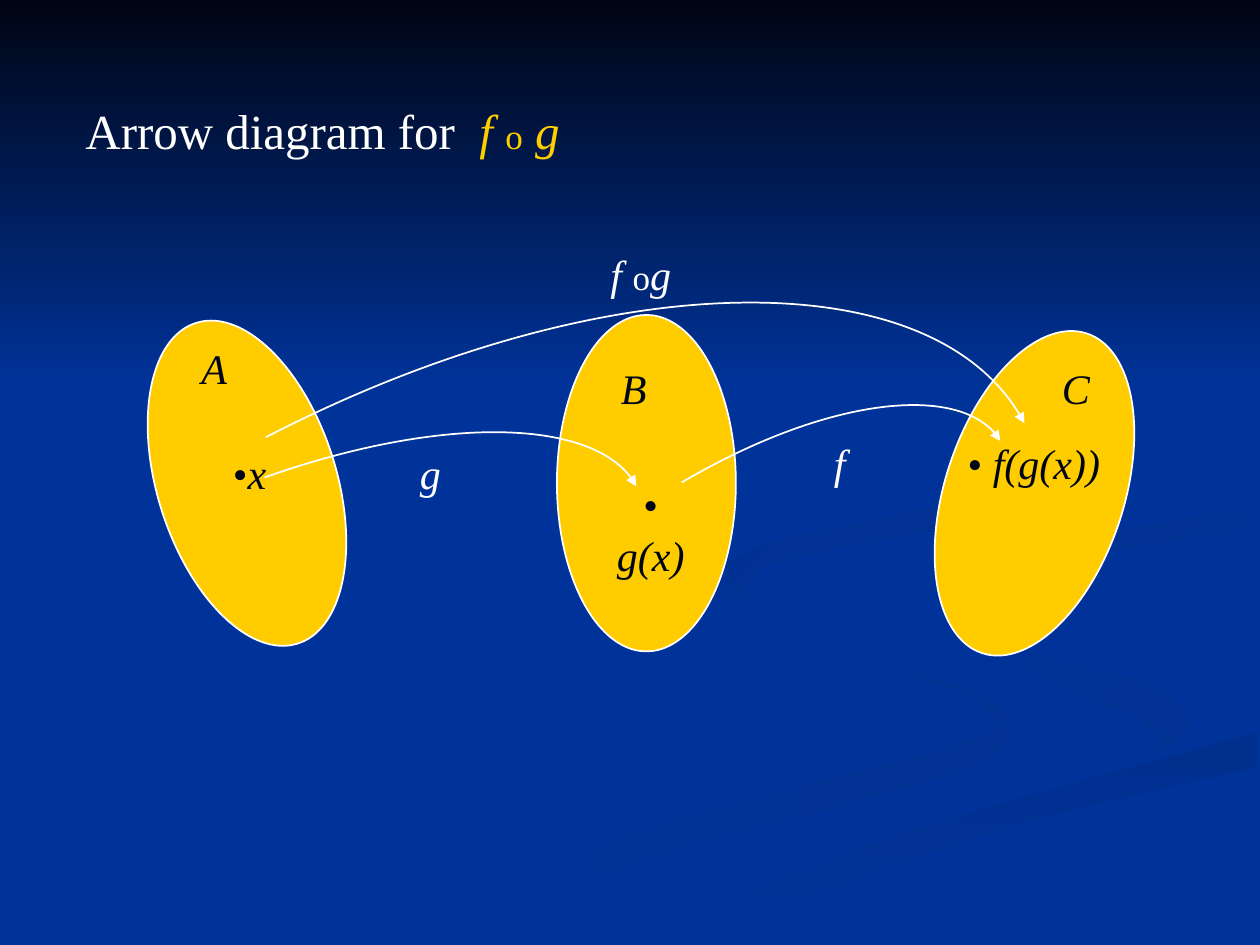
from dataclasses import dataclass

from lxml import etree
from pptx import Presentation
from pptx import util as u
from pptx.dml.color import RGBColor
from pptx.enum import shapes, text
from pptx.oxml.ns import qn


@dataclass(frozen=True)
class Theme:
    font: str = "Times New Roman"
    blue: str = "003399"
    shade: str = "002F8E"
    soft: str = "003193"
    dark: str = "000514"
    white: str = "FFFFFF"
    yellow: str = "FFCC00"
    gold: str = "FECE00"
    title: int = 28
    label: int = 24
    ring: int = 20
    line: int = 1


THEME = Theme()
SMOOTHNESS = 6

RIBBONS = [
    (THEME.blue, THEME.soft, 0, [
        [(5.75, 4.59), (5.76, 4.8), (6.97, 5.25), (7.86, 5.66), (7.49, 5.94),
         (4.99, 6.61), (3, 7.49)],
        [(3.61, 7.49), (4.99, 6.87), (7.56, 6.14), (8, 5.81), (7.81, 5.53),
         (6.82, 5.19), (5.94, 4.85), (5.75, 4.59)]]),
    (THEME.blue, THEME.soft, 45, [
        [(8.94, 6.05), (9.32, 5.89), (9.43, 5.7), (9.05, 5.4), (7.92, 5.09),
         (7.24, 4.64)],
        [(7.24, 4.64), (8.15, 5.3), (9.18, 5.81), (8.94, 6.05)]]),
    (THEME.shade, THEME.blue, 90, [
        [(5.03, 7.49), (6.3, 6.93), (7.64, 6.47), (9.98, 5.81)],
        [(9.98, 6.09), (8.21, 6.51), (6.7, 7.02), (5.71, 7.49)]]),
    (THEME.shade, THEME.blue, 45, [
        [(8.26, 4.96), (7.81, 4.6), (8.1, 4.37), (9.98, 4.02)],
        [(9.98, 4.2), (8.78, 4.39), (8.06, 4.72), (8.26, 4.96)]]),
    (THEME.shade, THEME.blue, 45, [
        [(7.62, 2.33), (8.46, 2.79), (8.89, 3.35), (8.52, 3.74), (7.33, 4.04),
         (6.05, 4.33), (5.77, 4.62), (6.22, 5)],
        [(6.22, 5), (5.93, 4.7), (6.24, 4.44), (7.86, 4.12), (8.67, 3.84),
         (8.94, 3.44), (8.54, 2.83), (7.62, 2.33)]]),
]

SETS = [(1.25, 2.5, -17.6), (4.42, 2.5, 0), (7.5, 2.58, 18.1)]
SET_SIZE = (1.42, 2.67)

ARROWS = [
    [(2.1, 3.79), (3.48, 3.3), (4.77, 3.32), (5.05, 3.86)],
    [(2.11, 3.47), (4.76, 2.1), (7.45, 2.05), (8.13, 3.36)],
    [(5.41, 3.83), (6.53, 3.17), (7.66, 3.03), (7.94, 3.5)],
]

PLAIN, ITALIC = {}, {"italic": True}
RING = {"size": THEME.ring}
GOLD = {"color": THEME.gold}
DARK = {"color": THEME.dark}
CENTRED = {"centred": True}
TEXTS = [
    ((1.75, 3.5, 0.5, 0.9), [("•", PLAIN), ("x", ITALIC)], DARK),
    ((4.75, 3.75, 0.83, 0.9), [("• ", PLAIN), ("g(x)", ITALIC)], DARK | CENTRED),
    ((7.58, 3.42, 1.25, 0.9), [("• ", PLAIN), ("f(g(x))", ITALIC)], DARK | CENTRED),
    ((3, 3.5, 0.83, 0.5), [("g", ITALIC)], CENTRED),
    ((6.25, 3.42, 0.83, 0.5), [("f", ITALIC)], CENTRED),
    ((4.67, 1.92, 0.83, 0.5), [("f ", ITALIC), ("o", RING), ("g", ITALIC)], CENTRED),
    ((0.58, 0.75, 4.67, 0.75),
     [("Arrow diagram for  ", PLAIN), ("f ", GOLD | ITALIC), ("o", GOLD | RING),
      (" ", GOLD), ("g", GOLD | ITALIC)], {"size": THEME.title}),
    ((1.5, 2.67, 0.4, 0.5), [("A", ITALIC)], DARK | {"wrap": False}),
    ((4.83, 2.83, 0.4, 0.5), [("B", ITALIC)], DARK | {"wrap": False}),
    ((8.33, 2.83, 0.42, 0.5), [("C", ITALIC)], DARK | {"wrap": False}),
]


def rgb(color):
    return RGBColor.from_string(color)


def paint(fill, start, end=None, angle=0):
    if end is None:
        fill.solid()
        fill.fore_color.rgb = rgb(start)
        return
    fill.gradient()
    fill.gradient_angle = -angle % 360
    for stop, color in zip(fill.gradient_stops, (start, end)):
        stop.color.rgb = rgb(color)


def outline(shape):
    shape.line.color.rgb = rgb(THEME.white)
    shape.line.width = u.Pt(THEME.line)


def smooth(knots):
    padded = [knots[0], *knots, knots[-1]]
    points = []
    for before, start, end, after in zip(padded, knots, knots[1:], padded[3:]):
        for step in range(SMOOTHNESS):
            t = step / SMOOTHNESS
            points.append(tuple(
                b + t * (c - a + t * (2 * a - 5 * b + 4 * c - d
                                      + t * (3 * (b - c) + d - a))) / 2
                for a, b, c, d in zip(before, start, end, after)))
    return points + [knots[-1]]


def add_outline(slide, points, close):
    corners = [(u.Inches(x), u.Inches(y)) for x, y in points]
    builder = slide.shapes.build_freeform(*corners[0])
    builder.add_line_segments(corners[1:], close=close)
    shape = builder.convert_to_shape()
    shape.shadow.inherit = False
    return shape


def add_ribbon(slide, start, end, angle, edges):
    points = [point for edge in edges for point in smooth(edge)]
    shape = add_outline(slide, points, True)
    paint(shape.fill, start, end, angle)
    shape.line.fill.background()


def add_preset(slide, kind, box):
    shape = slide.shapes.add_shape(kind, *map(u.Inches, box))
    shape.shadow.inherit = False
    return shape


def add_sky(slide):
    shape = add_preset(slide, shapes.MSO_SHAPE.RECTANGLE, (0, 0, 10, 3.08))
    paint(shape.fill, THEME.dark, THEME.blue, 90)
    shape.line.fill.background()


def add_set(slide, left, top, rotation):
    shape = add_preset(slide, shapes.MSO_SHAPE.OVAL, (left, top, *SET_SIZE))
    shape.rotation = rotation
    paint(shape.fill, THEME.yellow)
    outline(shape)


def add_arrow(slide, points):
    shape = add_outline(slide, points, False)
    shape.fill.background()
    outline(shape)
    route = shape.element.xpath(".//a:path")[0]
    segments = route.findall(qn("a:lnTo"))
    curve = etree.SubElement(route, qn("a:cubicBezTo"))
    for segment in segments:
        curve.append(segment[0])
        route.remove(segment)
    line = shape.element.xpath("./p:spPr/a:ln")[0]
    etree.SubElement(line, qn("a:tailEnd"), type="triangle")


def add_text(slide, box, runs, *, size=THEME.label, color=THEME.white,
             centred=False, wrap=True):
    frame = slide.shapes.add_textbox(*map(u.Inches, box)).text_frame
    frame.word_wrap = wrap
    paragraph = frame.paragraphs[0]
    paragraph.alignment = text.PP_ALIGN.CENTER if centred else text.PP_ALIGN.LEFT
    for words, style in runs:
        run = paragraph.add_run()
        run.text = words
        run.font.name = THEME.font
        run.font.size = u.Pt(style.get("size", size))
        run.font.italic = style.get("italic", False)
        run.font.color.rgb = rgb(style.get("color", color))


def main():
    presentation = Presentation()
    presentation.slide_width, presentation.slide_height = u.Inches(10), u.Inches(7.5)
    slide = presentation.slides.add_slide(presentation.slide_layouts[6])
    paint(slide.background.fill, THEME.blue)
    for ribbon in RIBBONS:
        add_ribbon(slide, *ribbon)
    add_sky(slide)
    for ellipse in SETS:
        add_set(slide, *ellipse)
    for arrow in ARROWS:
        add_arrow(slide, arrow)
    for box, runs, style in TEXTS:
        add_text(slide, box, runs, **style)
    presentation.save("out.pptx")


if __name__ == "__main__":
    main()
